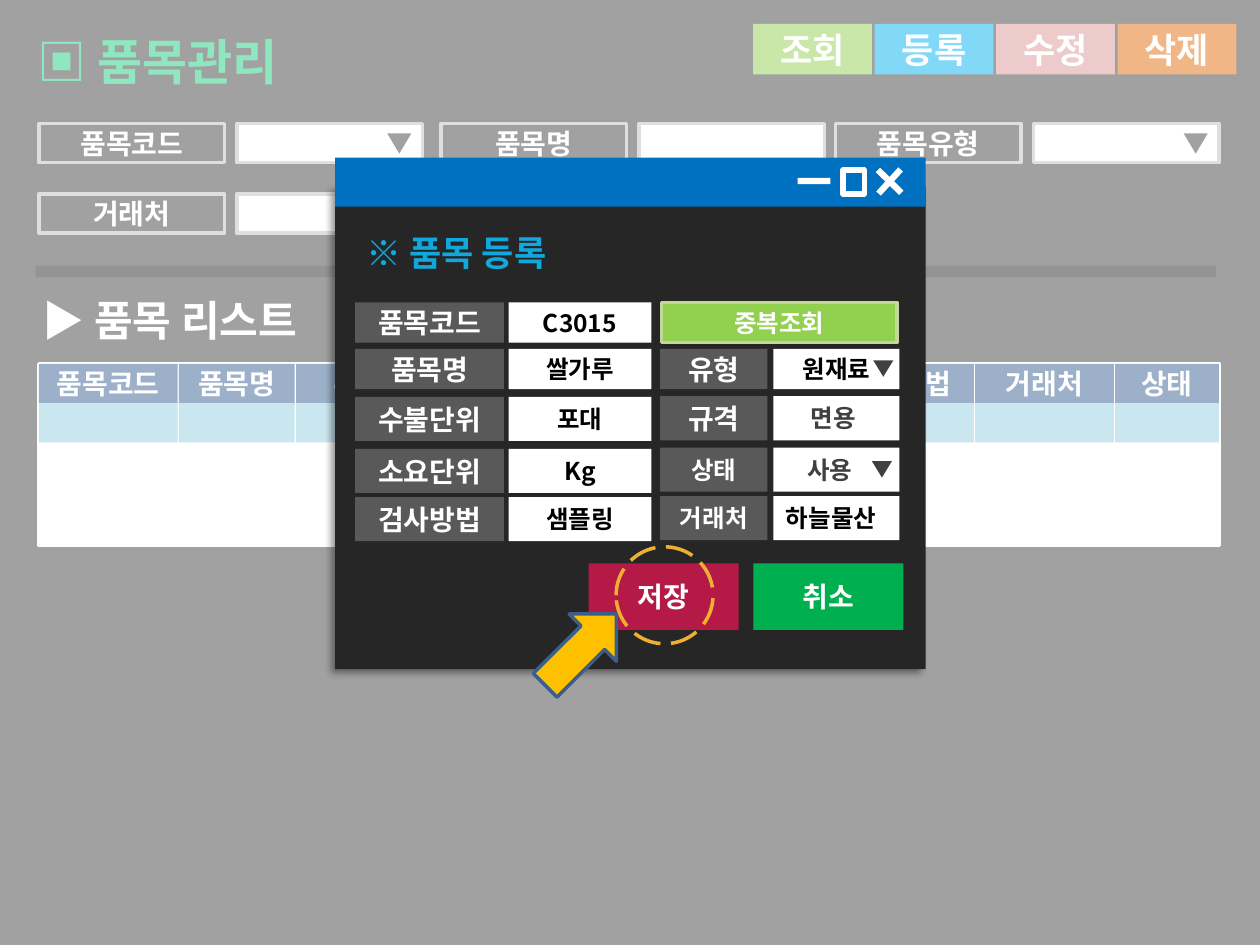
from lxml import etree
from pptx import Presentation
from pptx.dml.color import RGBColor
from pptx.enum.dml import MSO_LINE
from pptx.enum.shapes import MSO_SHAPE as Kind
from pptx.enum.text import MSO_ANCHOR as Anchor, MSO_AUTO_SIZE as AutoSize, PP_ALIGN as Align
from pptx.oxml.ns import qn
from pptx.util import Pt

WHITE = RGBColor(0xFF, 0xFF, 0xFF)
BLACK = RGBColor(0, 0, 0)
CHARCOAL = RGBColor(0x40, 0x40, 0x40)
DARK = RGBColor(0x26, 0x26, 0x26)
LABEL_GRAY = RGBColor(0x59, 0x59, 0x59)
FRAME_GRAY = RGBColor(0xBF, 0xBF, 0xBF)
MINT = RGBColor(0x1A, 0xD0, 0x7E)
LIME = RGBColor(0x92, 0xD0, 0x50)
PALE_LIME = RGBColor(0xC3, 0xD6, 0x9B)
SKY = RGBColor(0x00, 0xB0, 0xF0)
ROSE = RGBColor(0xD9, 0x96, 0x94)
ORANGE = RGBColor(0xE4, 0x6C, 0x0A)
NAVY = RGBColor(0x37, 0x60, 0x92)
AQUA = RGBColor(0x93, 0xCD, 0xDD)
TITLE_BAR = RGBColor(0x00, 0x70, 0xC0)
HEADING = RGBColor(0x11, 0xA8, 0xDD)
CRIMSON = RGBColor(0xB5, 0x19, 0x46)
GREEN = RGBColor(0x00, 0xB0, 0x50)
GOLD = RGBColor(0xFF, 0xC0, 0x00)
ARROW_EDGE = RGBColor(0x3A, 0x5F, 0x8C)
RING = RGBColor(0xEE, 0xAF, 0x32)


class Screen:
    """Holds the text style and the current slide, and draws its elements."""

    font = "Noto Sans CJK KR"

    def __init__(self, page):
        """Start drawing directly on the page."""
        self.page = page
        self.layer = page.shapes

    def begin_group(self):
        """Send the next elements to a new group."""
        self.layer = self.page.shapes.add_group_shape().shapes

    def end_group(self):
        """Return to drawing directly on the page."""
        self.layer = self.page.shapes

    def fill_text(self, box, text, size, color, align):
        """Put one bold paragraph in a box."""
        frame = box.text_frame
        frame.text = text
        frame.word_wrap = True
        para = frame.paragraphs[0]
        para.alignment = align
        for span in para.runs:
            span.font.name = self.font
            span.font.size = Pt(size)
            span.font.bold = True
            span.font.color.rgb = color
        for properties in box.element.iter(qn("a:rPr")):
            etree.SubElement(properties, qn("a:ea"), typeface=self.font)

    def title(self, area, text, size, color):
        """Fill the title placeholder and bring it to the front."""
        box = self.page.shapes.title
        box.left, box.top, box.width, box.height = map(Pt, area)
        self.fill_text(box, text, size, color, Align.LEFT)
        box.text_frame.vertical_anchor = Anchor.TOP
        box.text_frame.auto_size = AutoSize.SHAPE_TO_FIT_TEXT
        box.element.getparent().append(box.element)

    def text(self, area, text, size, color, align=Align.LEFT):
        """Add a text box that grows with its text."""
        box = self.layer.add_textbox(*map(Pt, area))
        self.fill_text(box, text, size, color, align)
        box.text_frame.auto_size = AutoSize.SHAPE_TO_FIT_TEXT

    def shape(self, area, fill=None, line=None, width=2, kind=Kind.RECTANGLE, turn=0,
              text=None, size=16, color=WHITE, align=Align.CENTER):
        """Add a preset shape, with a label if one is given."""
        box = self.layer.add_shape(kind, *map(Pt, area))
        box.shadow.inherit = False
        box.rotation = turn
        if fill is None:
            box.fill.background()
        else:
            box.fill.solid()
            box.fill.fore_color.rgb = fill
        if line is None:
            box.line.fill.background()
        else:
            box.line.color.rgb = line
            box.line.width = Pt(width)
        if text:
            self.fill_text(box, text, size, color, align)
            box.text_frame.vertical_anchor = Anchor.MIDDLE
        return box

    def veil(self, area, color, percent):
        """Add a see-through rectangle."""
        box = self.shape(area, color)
        shade = box.element.spPr.find(qn("a:solidFill"))[0]
        etree.SubElement(shade, qn("a:alpha"), val=str(percent * 1000))

    def drop_shadow(self, box):
        """Give a shape a soft shadow to the lower left."""
        effects = box.element.spPr.find(qn("a:effectLst"))
        shadow = etree.SubElement(effects, qn("a:outerShdw"), blurRad=str(Pt(4)),
                                  dist=str(Pt(3)), dir=str(135 * 60000),
                                  algn="tr", rotWithShape="0")
        shade = etree.SubElement(shadow, qn("a:srgbClr"), val=str(BLACK))
        etree.SubElement(shade, qn("a:alpha"), val="40000")


def draw_filter(screen, left, top, name, dropdown=False):
    """Draw a search label with its input field."""
    screen.shape((left, top, 106, 22.4), line=FRAME_GRAY, text=name)
    screen.shape((left + 113.2, top, 106, 22.4), WHITE, FRAME_GRAY)
    if dropdown:
        screen.shape((left + 199, top + 5.7, 13.7, 11.5), CHARCOAL,
                     kind=Kind.ISOSCELES_TRIANGLE, turn=180)


def draw_main_window(screen):
    """Draw the item management window and the veil over it."""
    full_page = (0, 0, 720, 540)
    screen.shape(full_page, CHARCOAL)
    screen.title((14.4, 14.4, 238.3, 41), "▣ 품목관리", 28, MINT)
    screen.text((17.3, 164.9, 241.2, 36), "▶ 품목 리스트", 24, WHITE)
    actions = [("조회", LIME), ("등록", SKY), ("수정", ROSE), ("삭제", ORANGE)]
    for index, (name, color) in enumerate(actions):
        screen.shape((430.4 + 69.4 * index, 13.7, 67.9, 28.8), color, text=name, size=20)
    screen.shape((22.3, 208, 674.6, 103.7), WHITE, WHITE)
    screen.shape((20.2, 151.9, 674.6, 6.5), DARK)

    columns = [("품목코드", 22.3, 79.2), ("품목명", 102.2, 66.2), ("유형", 169.2, 72),
               ("검사방법", 472.3, 84.2), ("거래처", 557.3, 79.2), ("상태", 637.2, 59.4)]
    for name, left, width in columns:
        screen.begin_group()
        screen.shape((left, 208, width, 22.4), NAVY, text=name)
        screen.shape((left, 230.4, width, 22.4), AQUA)
    screen.end_group()

    draw_filter(screen, 22.3, 70.6, "품목코드", dropdown=True)
    draw_filter(screen, 252, 70.6, "품목명")
    draw_filter(screen, 477.4, 70.6, "품목유형", dropdown=True)
    draw_filter(screen, 22.3, 110.9, "거래처")
    screen.veil(full_page, WHITE, 51)


def draw_dialog(screen):
    """Draw the item registration dialog."""
    screen.begin_group()
    panel = screen.shape((191.5, 106.6, 337.4, 275.8), DARK)
    screen.drop_shadow(panel)
    screen.text((202.3, 128.9, 208, 31.5), "※ 품목 등록", 20, HEADING)
    screen.shape((191.5, 90, 337.4, 28.1), TITLE_BAR)
    screen.shape((455.8, 101.7, 18.7, 3.6), WHITE)
    screen.shape((481.7, 97.2, 12.2, 13.7), line=WHITE, width=3)
    for turn in (312.5, 44.3):
        screen.shape((499, 101.9, 18.7, 3.6), WHITE, turn=turn)

    left_rows = [("품목코드", "C3015", 172.8, 23), ("품목명", "쌀가루", 199.4, 23),
                 ("수불단위", "포대", 226.8, 25.2), ("소요단위", "Kg", 256.5, 25.2),
                 ("검사방법", "샘플링", 284, 25.2)]
    for name, value, top, height in left_rows:
        screen.shape((203, top, 85, height), LABEL_GRAY, text=name)
        screen.shape((290.6, top, 81.6, height), WHITE, text=value, size=14, color=BLACK)

    screen.shape((378, 172.8, 134.6, 23), LIME, PALE_LIME, text="중복조회", size=14)
    right_rows = [("유형", "원재료", 199.4, 23, 16, Align.CENTER),
                  ("규격", None, 226.4, 25.2, 16, Align.CENTER),
                  ("상태", None, 255.8, 25.2, 14, Align.CENTER),
                  ("거래처", "하늘물산", 283.5, 25.2, 14, Align.LEFT)]
    for name, value, top, height, size, align in right_rows:
        screen.shape((377.2, top, 61.4, height), LABEL_GRAY, text=name, size=size)
        screen.shape((442, top, 72, height), WHITE, text=value, size=14, color=BLACK,
                     align=align)
    screen.text((454.3, 256.3, 48.2, 24.2), "사용", 14, CHARCOAL)
    screen.text((431.3, 226.8, 90, 24.2), "면용", 14, CHARCOAL, Align.CENTER)
    for left, top in [(499, 205.9), (498.2, 263.5)]:
        screen.shape((left, top, 11.5, 9.4), CHARCOAL,
                     kind=Kind.FLOWCHART_EXTRACT, turn=180)
    for name, left, color in [("저장", 336.4, CRIMSON), ("취소", 430.5, GREEN)]:
        screen.shape((left, 322, 85.7, 38), color, text=name)
    screen.end_group()


def build():
    """Build the slide and save it."""
    deck = Presentation()
    deck.slide_width, deck.slide_height = Pt(720), Pt(540)
    screen = Screen(deck.slides.add_slide(deck.slide_layouts[5]))
    draw_main_window(screen)
    draw_dialog(screen)
    screen.shape((303.1, 352.1, 57.6, 38.2), GOLD, ARROW_EDGE,
                 kind=Kind.RIGHT_ARROW, turn=315)
    ring = screen.shape((352.1, 312.5, 55.4, 55.4), line=RING, kind=Kind.OVAL)
    ring.line.dash_style = MSO_LINE.LONG_DASH
    deck.save("out.pptx")


build()
